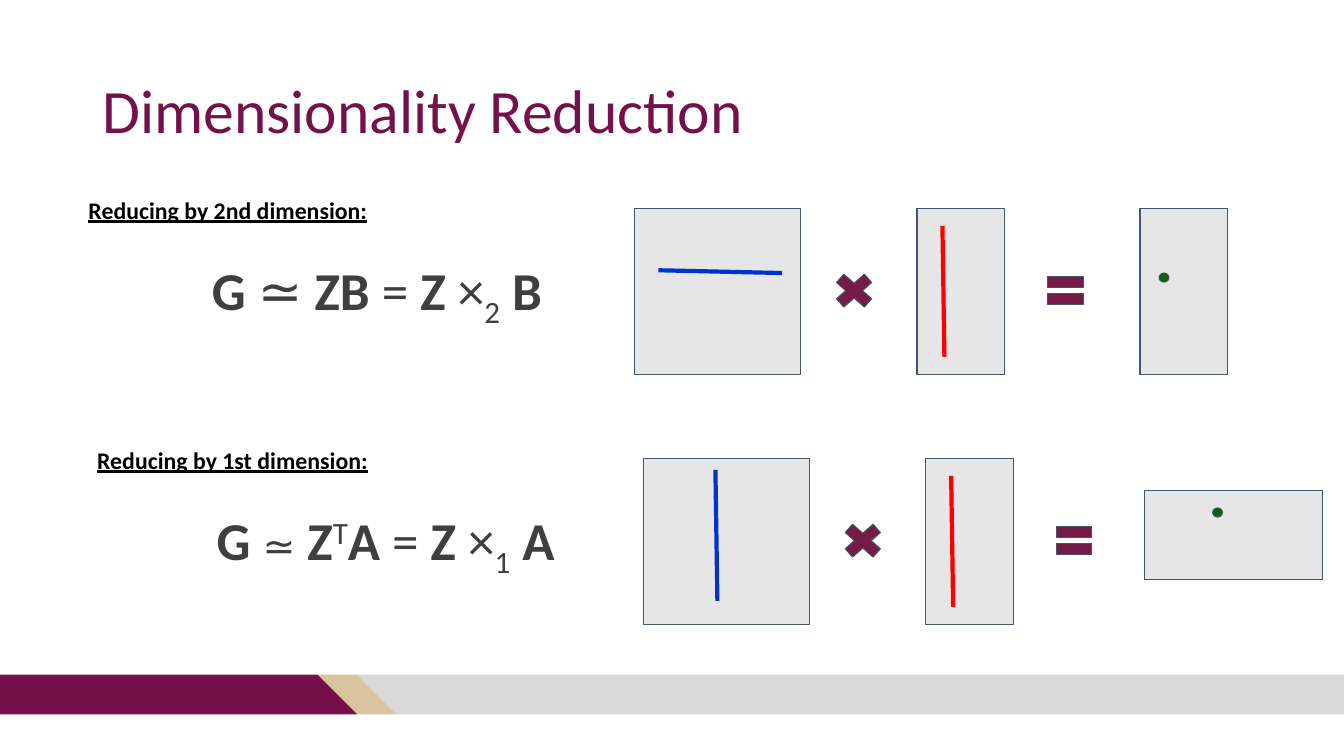
from dataclasses import dataclass

import pptx
import pptx.dml.color
import pptx.enum.shapes
import pptx.enum.text
import pptx.oxml.ns
import pptx.util
from lxml import etree

Cm = pptx.util.Cm
Pt = pptx.util.Pt
Shape = pptx.enum.shapes.MSO_SHAPE
Anchor = pptx.enum.text.MSO_ANCHOR
Align = pptx.enum.text.PP_ALIGN


@dataclass(frozen=True)
class Theme:
    font: str = "Calibri"
    maroon: str = "75114A"
    sand: str = "D9C49F"
    silver: str = "D8D8D8"
    panel: str = "E7E6E6"
    outline: str = "44546A"
    operator: str = "741B47"
    row_line: str = "0033CC"
    column_line: str = "FF0000"
    dot: str = "006600"
    equation: str = "3F3F3F"
    label: str = "000000"
    title_size: int = 44
    equation_size: int = 38
    small_sign_size: int = 28
    label_size: int = 17


THEME = Theme()

# Content: lengths in cm; figures are placed relative to their row's shift
TITLE = "Dimensionality Reduction"

# Equation spans: text, bold, baseline shift in percent, size
BIG, SMALL = THEME.equation_size, THEME.small_sign_size
ROWS = [
    {
        "shift": (0, 0),
        "label": "Reducing by 2nd dimension:",
        "equation": [
            ("G", True, 0, BIG), (" ≃ ", False, 0, BIG), ("ZB ", True, 0, BIG),
            ("= ", False, 0, BIG), ("Z ", True, 0, BIG), ("×", False, 0, BIG),
            ("2", False, -25, BIG), (" B", True, 0, BIG),
        ],
        "blue": (16.59, 6.81, 19.71, 6.88),
        "result": (28.73, 5.26, 2.21, 4.17),
        "dot": (29.21, 6.88),
    },
    {
        "shift": (0.22, 6.3),
        "label": "Reducing by 1st dimension:",
        "equation": [
            ("G ", True, 0, BIG), ("≃", False, 0, SMALL), (" ", False, 0, BIG),
            ("Z", True, 0, BIG), ("T", False, 30, BIG), ("A ", True, 0, BIG),
            ("=", False, 0, BIG), (" Z ", True, 0, BIG), ("×", False, 0, BIG),
            ("1", False, -25, BIG), (" A", True, 0, BIG),
        ],
        "blue": (17.81, 5.54, 17.86, 8.84),
        "result": (28.63, 6.07, 4.47, 2.24),
        "dot": (30.34, 6.5),
    },
]

# Parts that every row shares
LABEL_BOX = (1.98, 4.67, 8.03, 1.24)
EQUATION_BOX = (4.14, 5.33, 10.72, 3.99)
FACTORS = [(16, 5.26, 4.17, 4.17), (23.11, 5.26, 2.21, 4.17)]
OPERATORS = [
    (Shape.MATH_MULTIPLY, (20.85, 6.73, 1.35, 1.19), [0.235]),
    (Shape.MATH_EQUAL, (26.24, 6.73, 1.22, 1.19), [0.235, 0.118]),
]
RED_LINE = (23.75, 5.69, 23.8, 8.99)
DOT_SIZE = (0.25, 0.23)

FOOTER = [
    (THEME.sand, [(8.03, 16.59), (8.59, 16.59), (9.91, 18.31), (9.32, 18.31)]),
    (THEME.maroon, [(0, 16.64), (8.05, 16.59), (9.35, 18.31), (0, 18.42)]),
    (THEME.silver, [(8.86, 16.54), (33.87, 16.61), (33.87, 18.26), (10.16, 18.26)]),
]

deck = pptx.Presentation()
deck.slide_width, deck.slide_height = Cm(33.87), Cm(19.05)
page = deck.slides.add_slide(deck.slide_layouts[6])


def rgb(color):
    return pptx.dml.color.RGBColor.from_string(color)


def paint(shape, fill, line=None):
    shape.shadow.inherit = False
    shape.fill.solid()
    shape.fill.fore_color.rgb = rgb(fill)
    if line:
        shape.line.color.rgb = rgb(line)
        shape.line.width = Pt(0.75)
    else:
        shape.line.fill.background()


def add_figure(kind, place, fill, adjustments=()):
    shape = page.shapes.add_shape(kind, *map(Cm, place))
    for index, value in enumerate(adjustments):
        shape.adjustments[index] = value
    paint(shape, fill, THEME.outline)


def add_line(ends, color):
    line = page.shapes.add_connector(
        pptx.enum.shapes.MSO_CONNECTOR.STRAIGHT, *map(Cm, ends))
    line.line.color.rgb = rgb(color)
    line.line.width = Pt(3)
    etree.SubElement(line._element.spPr, pptx.oxml.ns.qn("a:effectLst"))


def add_text(place, spans, size, color, anchor=Anchor.MIDDLE):
    box = page.shapes.add_textbox(*map(Cm, place))
    frame = box.text_frame
    frame.word_wrap = True
    frame.vertical_anchor = anchor
    frame.margin_left = frame.margin_right = Cm(0.25)
    frame.margin_top = frame.margin_bottom = Cm(0.25)
    para = frame.paragraphs[0]
    for text, bold, baseline, span_size in spans:
        span = para.add_run()
        span.text = text
        span.font.bold = bold
        if span_size != size:
            span.font.size = Pt(span_size)
        if baseline:
            span._r.get_or_add_rPr().set("baseline", str(baseline * 1000))
    para.font.name = THEME.font
    para.font.size = Pt(size)
    para.font.color.rgb = rgb(color)
    return para


# Footer bands
for color, corners in FOOTER:
    builder = page.shapes.build_freeform(*corners[0], scale=float(Cm(1)))
    builder.add_line_segments(corners[1:], close=True)
    paint(builder.convert_to_shape(), color)

# Title
title = add_text((2.34, 1.02, 29.21, 3.68), [(TITLE, False, 0, THEME.title_size)],
                 THEME.title_size, THEME.maroon)
title.line_spacing = 0.9

# One row per reduced dimension
for row in ROWS:
    across, down = row["shift"]

    def moved(place):
        return (place[0] + across, place[1] + down, *place[2:])

    def moved_ends(ends):
        return (*moved(ends[:2]), *moved(ends[2:]))

    equation = add_text(moved(EQUATION_BOX), row["equation"], BIG, THEME.equation)
    equation.alignment = Align.CENTER
    equation.line_spacing = 0.9

    for place in [*FACTORS, row["result"]]:
        add_figure(Shape.RECTANGLE, moved(place), THEME.panel)
    for kind, place, adjustments in OPERATORS:
        add_figure(kind, moved(place), THEME.operator, adjustments)
    add_line(moved_ends(row["blue"]), THEME.row_line)
    add_line(moved_ends(RED_LINE), THEME.column_line)
    add_figure(Shape.OVAL, moved(row["dot"] + DOT_SIZE), THEME.dot)

    label = add_text(moved(LABEL_BOX), [(row["label"], True, 0, THEME.label_size)],
                     THEME.label_size, THEME.label, Anchor.TOP)
    label.font.underline = True
    label.runs[0].font.underline = True

deck.save("out.pptx")
